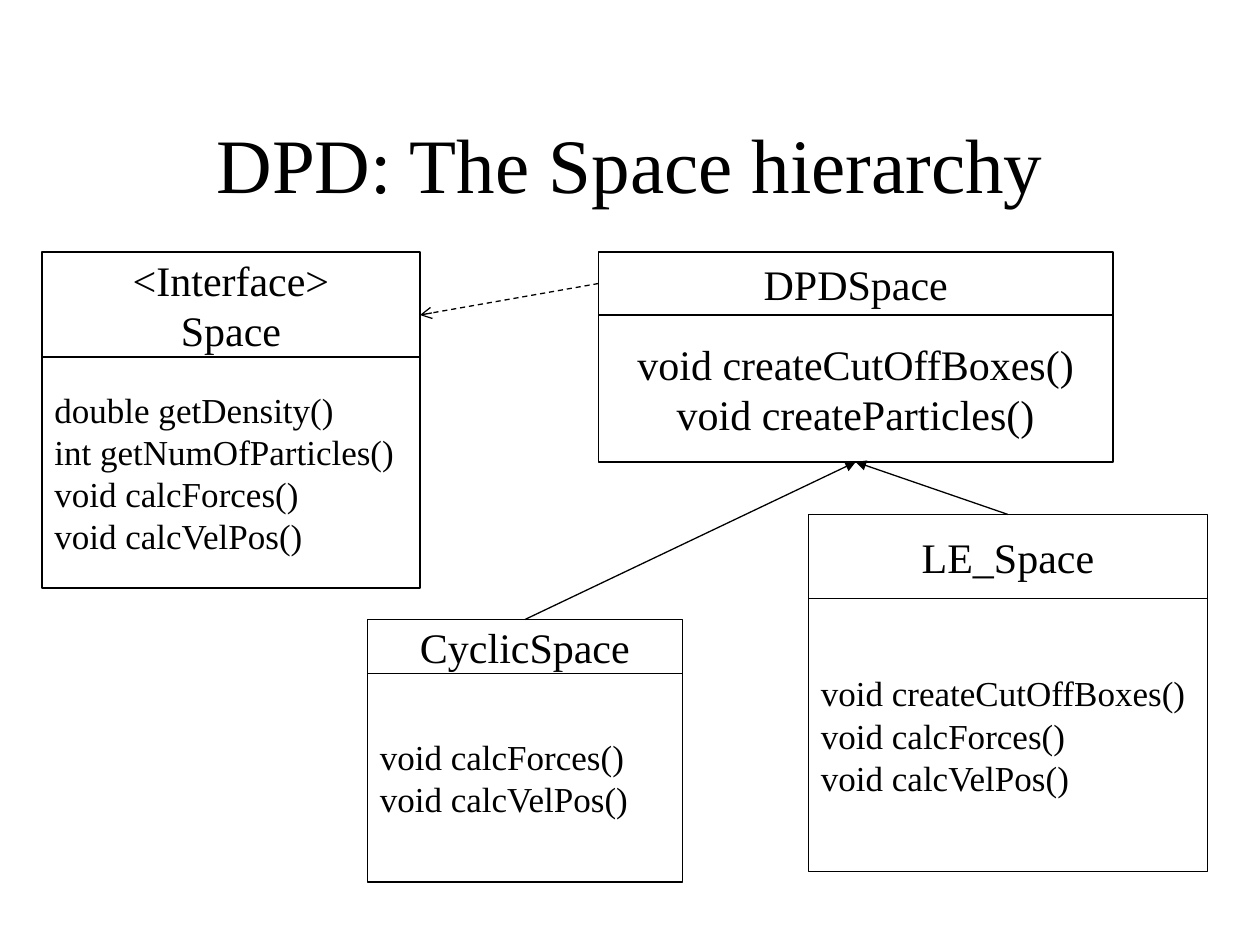
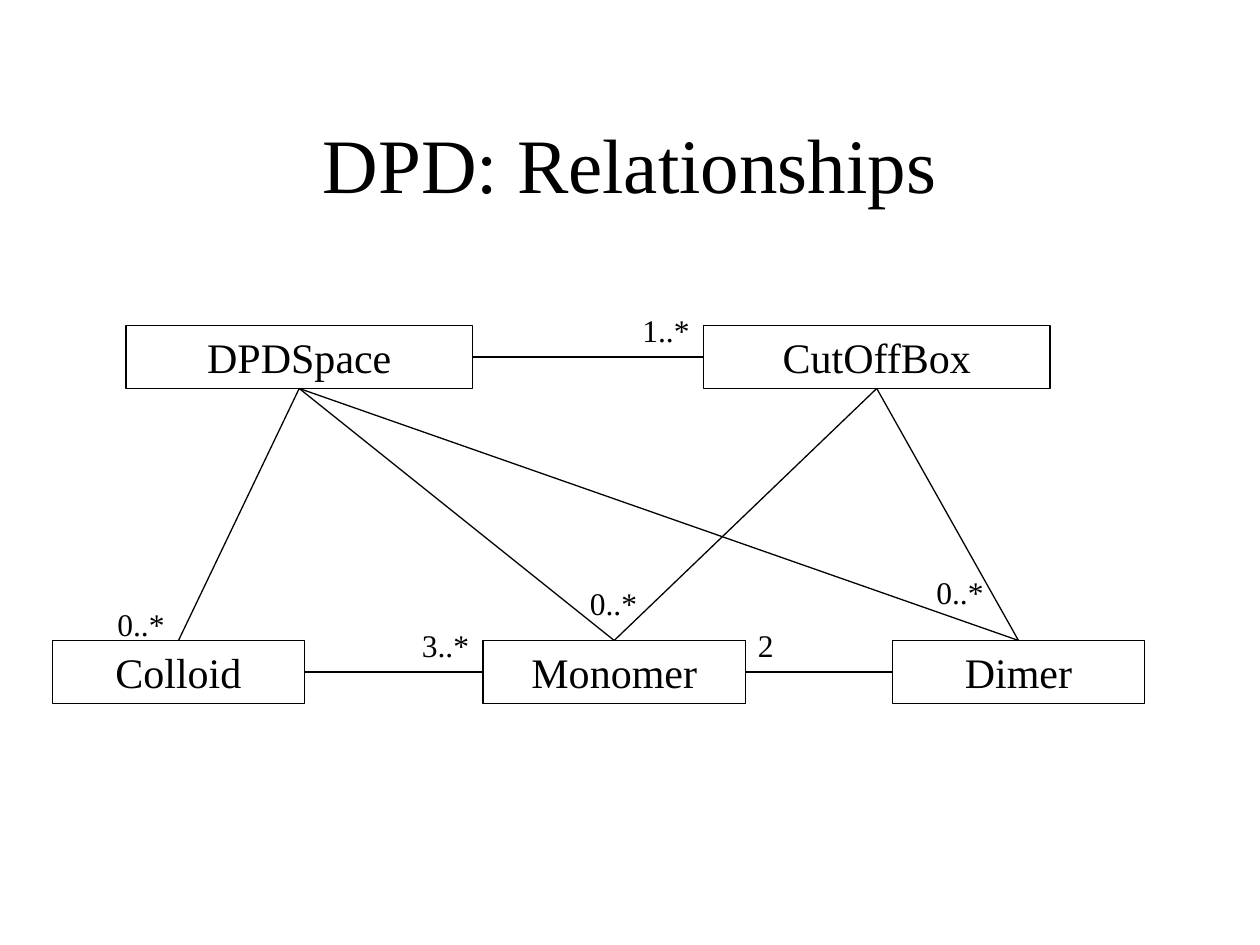
from lxml import etree
from pptx import Presentation
from pptx.dml.color import RGBColor
from pptx.enum import dml, shapes, text
from pptx.oxml.ns import qn
from pptx.util import Pt

INK = "000000"
FONT = "Times New Roman"
TITLE_BOX = (54, 48, 612, 90)
TITLE_SIZE, NAME_SIZE, METHOD_SIZE, LABEL_SIZE = 44, 24, 20, 18
LEFT, CENTER = text.PP_ALIGN.LEFT, text.PP_ALIGN.CENTER
TOP_SITE, LEFT_SITE, BOTTOM_SITE, RIGHT_SITE = range(4)

# Class diagram: left, top, width, name height, methods height, name, methods, style
HIERARCHY_TITLE = "DPD: The Space hierarchy"
CLASSES = [
    (24, 144, 216, 60, 132, ["<Interface>", "Space"],
     ["double getDensity()", "int getNumOfParticles()",
      "void calcForces()", "void calcVelPos()"], (METHOD_SIZE, LEFT)),
    (210, 354, 180, 31, 119, ["CyclicSpace"],
     ["void calcForces()", "void calcVelPos()"], (METHOD_SIZE, LEFT)),
    (462, 294, 228, 48, 156, ["LE_Space"],
     ["void createCutOffBoxes()", "void calcForces()", "void calcVelPos()"],
     (METHOD_SIZE, LEFT)),
    (342, 144, 294, 36, 84, ["DPDSpace"],
     ["void createCutOffBoxes()", "void createParticles()"], (NAME_SIZE, CENTER)),
]
SUBCLASSES = ["CyclicSpace", "LE_Space"]
INTERFACE_POINT = (240, 180)

# Relationship diagram: rows of (name, left, width), links, and multiplicities
RELATIONS_TITLE = "DPD: Relationships"
ENTITY_HEIGHT = 36
ENTITY_ROWS = {
    186: [("DPDSpace", 72, 198), ("CutOffBox", 402, 198)],
    366: [("Colloid", 30, 144), ("Monomer", 276, 150), ("Dimer", 510, 144)],
}
SIDE_LINKS = [("DPDSpace", "CutOffBox"), ("Colloid", "Monomer"), ("Monomer", "Dimer")]
DOWN_LINKS = [("DPDSpace", "Colloid"), ("DPDSpace", "Monomer"), ("DPDSpace", "Dimer"),
              ("CutOffBox", "Monomer"), ("CutOffBox", "Dimer")]
MULTIPLICITIES = [
    ("1..*", 360, 174, 41.5), ("0..*", 330, 330, 41.5), ("0..*", 528, 324, 41.5),
    ("0..*", 60, 342, 41.5), ("3..*", 234, 354, 41.5), ("2", 426, 354, 23.5),
]


def rgb(value):
    return RGBColor.from_string(value)


def write(sp, lines, size, align, anchor=text.MSO_ANCHOR.MIDDLE, wrap=False):
    tf = sp.text_frame
    tf.word_wrap = wrap
    tf.vertical_anchor = anchor
    tf.text = "\n".join(lines)
    for p in tf.paragraphs:
        p.alignment = align
        for r in p.runs:
            r.font.name, r.font.size = FONT, Pt(size)
            r.font.color.rgb = rgb(INK)


def add_text(s, lines, box, size, align, **options):
    sp = s.shapes.add_textbox(*map(Pt, box))
    write(sp, lines, size, align, **options)
    return sp


def add_box(s, lines, box, size=NAME_SIZE, align=CENTER):
    sp = s.shapes.add_shape(shapes.MSO_SHAPE.RECTANGLE, *map(Pt, box))
    sp.shadow.inherit = False
    sp.fill.background()
    sp.line.color.rgb = rgb(INK)
    sp.line.width = Pt(0.75)
    write(sp, lines, size, align)
    return sp


def add_line(s, start, end, arrow=None, dashed=False):
    """Join two (shape, site) pairs, or end at a plain (x, y) point."""
    glued = hasattr(end[0], "shape_id")
    x, y = (0, 0) if glued else map(Pt, end)
    line = s.shapes.add_connector(shapes.MSO_CONNECTOR.STRAIGHT, 0, 0, x, y)
    line.begin_connect(*start)
    if glued:
        line.end_connect(*end)
    line.line.color.rgb = rgb(INK)
    line.line.width = Pt(0.75)
    if dashed:
        line.line.dash_style = dml.MSO_LINE.DASH
    if arrow:
        etree.SubElement(line.get_or_add_ln(), qn("a:tailEnd"), type=arrow)
    etree.SubElement(line._element.spPr, qn("a:effectLst"))


def add_slide(prs, title):
    s = prs.slides.add_slide(prs.slide_layouts[6])
    add_text(s, [title], TITLE_BOX, TITLE_SIZE, CENTER, wrap=True)
    return s


def build_hierarchy(prs):
    s = add_slide(prs, HIERARCHY_TITLE)
    names, bodies = {}, {}
    for x, y, w, name_h, body_h, name, methods, style in CLASSES:
        key = name[-1]
        names[key] = add_box(s, name, (x, y, w, name_h))
        bodies[key] = add_box(s, methods, (x, y + name_h, w, body_h), *style)
    # Inheritance, then the implemented interface
    for child in SUBCLASSES:
        add_line(s, (names[child], TOP_SITE), (bodies["DPDSpace"], BOTTOM_SITE),
                 "triangle")
    add_line(s, (names["DPDSpace"], LEFT_SITE), INTERFACE_POINT, "arrow", dashed=True)


def build_relations(prs):
    s = add_slide(prs, RELATIONS_TITLE)
    entities = {name: add_box(s, [name], (x, y, w, ENTITY_HEIGHT))
                for y, row in ENTITY_ROWS.items() for name, x, w in row}
    for links, from_site, to_site in [(SIDE_LINKS, RIGHT_SITE, LEFT_SITE),
                                      (DOWN_LINKS, BOTTOM_SITE, TOP_SITE)]:
        for a, b in links:
            add_line(s, (entities[a], from_site), (entities[b], to_site))
    # Multiplicities grow to fit their text on one line
    for label, x, y, w in MULTIPLICITIES:
        sp = add_text(s, [label], (x, y, w, 29), LABEL_SIZE, LEFT,
                      anchor=text.MSO_ANCHOR.TOP)
        sp.text_frame.auto_size = text.MSO_AUTO_SIZE.SHAPE_TO_FIT_TEXT


def main():
    prs = Presentation()
    prs.slide_width, prs.slide_height = Pt(720), Pt(540)
    build_hierarchy(prs)
    build_relations(prs)
    prs.save("out.pptx")


if __name__ == "__main__":
    main()
